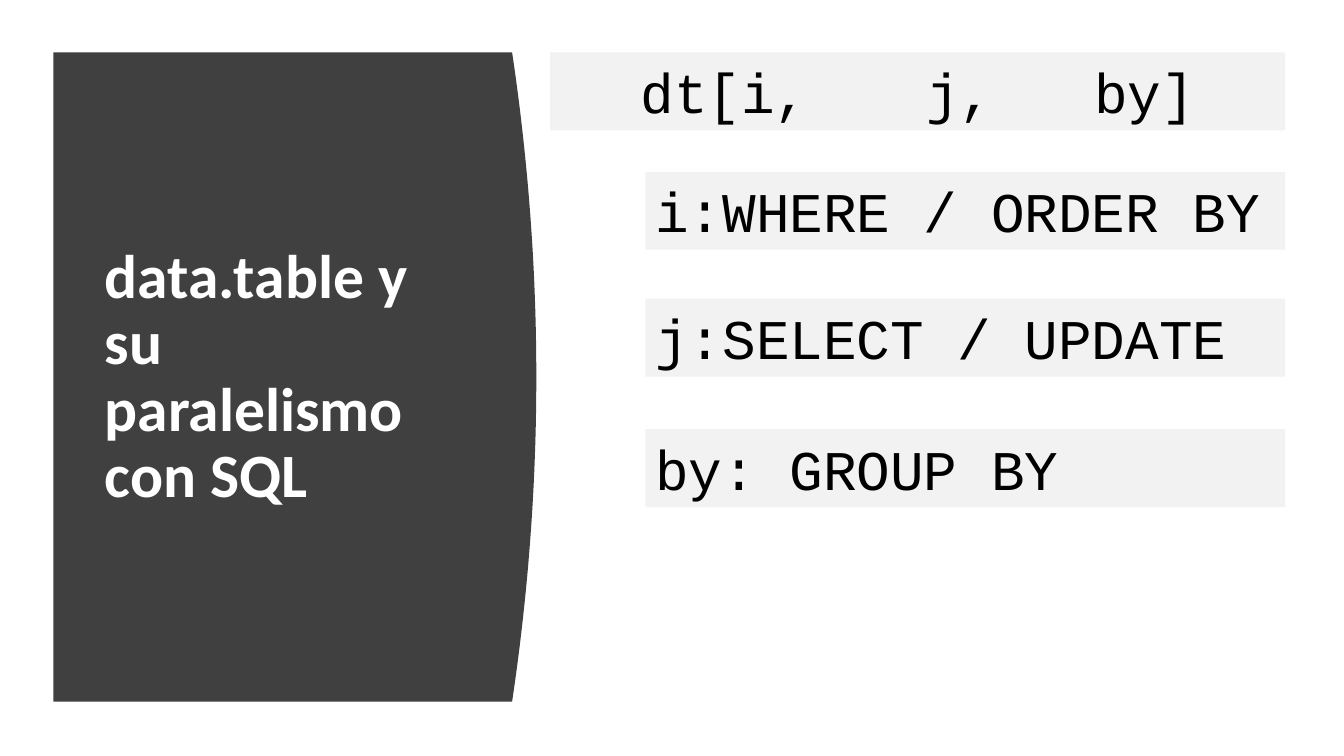
import pptx
import pptx.dml.color
import pptx.enum.shapes
import pptx.enum.text
import pptx.util

Pt = pptx.util.Pt
RGBColor = pptx.dml.color.RGBColor
ALIGN = pptx.enum.text.PP_ALIGN
ANCHOR = pptx.enum.text.MSO_ANCHOR

CHARCOAL = RGBColor(0x40, 0x40, 0x40)
PALE_GREY = RGBColor(0xF2, 0xF2, 0xF2)
WHITE = RGBColor(0xFF, 0xFF, 0xFF)
BLACK = RGBColor(0, 0, 0)


def paint(shape, color):
    """Give a shape a flat fill without outline or shadow."""
    shape.fill.solid()
    shape.fill.fore_color.rgb = color
    shape.line.fill.background()
    shape.shadow.inherit = False


def add_span(para, text, font_name, size, color, bold=False):
    """Add one formatted run to a paragraph."""
    span = para.add_run()
    span.text = text
    span.font.name = font_name
    span.font.size = Pt(size)
    span.font.color.rgb = color
    span.font.bold = bold


deck = pptx.Presentation()
deck.slide_width = Pt(960)
deck.slide_height = Pt(540)
page = deck.slides.add_slide(deck.slide_layouts[5])

# Dark panel whose right edge is a shallow parabola
panel_left, panel_top, panel_bottom = 38.2, 37.4, 501.2
corner_x, bulge, steps = 365.8, 17.3, 48
curve = []
for step in range(steps + 1):
    offset = 2 * step / steps - 1
    x = corner_x + bulge * (1 - offset ** 2)
    y = panel_top + (panel_bottom - panel_top) * step / steps
    curve.append((Pt(x), Pt(y)))
builder = page.shapes.build_freeform(Pt(panel_left), Pt(panel_top))
builder.add_line_segments(curve + [(Pt(panel_left), Pt(panel_bottom))], close=True)
paint(builder.convert_to_shape(), CHARCOAL)

# Title, brought in front of the panel
title = page.shapes.title
title.element.getparent().append(title.element)
title.left, title.top, title.width, title.height = Pt(67.7), Pt(80), Pt(269.3), Pt(380)
title.text_frame.word_wrap = True
title.text_frame.auto_size = pptx.enum.text.MSO_AUTO_SIZE.NONE
title.text_frame.vertical_anchor = ANCHOR.MIDDLE
para = title.text_frame.paragraphs[0]
para.alignment = ALIGN.LEFT
para.line_spacing = 0.9
add_span(para, "data.table y su paralelismo con SQL", "Calibri", 44, WHITE, bold=True)

# Syntax bar, then one bar for each argument
bars_right, bar_height = 918, 55.7
bars = [
    (393, 37.4, "dt[i,\t\t j, \t\tby]", ALIGN.CENTER),
    (461, 122.7, "i:WHERE / ORDER BY", ALIGN.LEFT),
    (461, 213.4, "j:SELECT / UPDATE", ALIGN.LEFT),
    (461, 306.6, "by: GROUP BY", ALIGN.LEFT),
]
for left, top, code, alignment in bars:
    bar = page.shapes.add_shape(
        pptx.enum.shapes.MSO_SHAPE.RECTANGLE,
        Pt(left), Pt(top), Pt(bars_right - left), Pt(bar_height))
    paint(bar, PALE_GREY)
    bar.text_frame.word_wrap = True
    bar.text_frame.vertical_anchor = ANCHOR.TOP
    para = bar.text_frame.paragraphs[0]
    para.alignment = alignment
    add_span(para, code, "Courier New", 40, BLACK)

deck.save("out.pptx")
